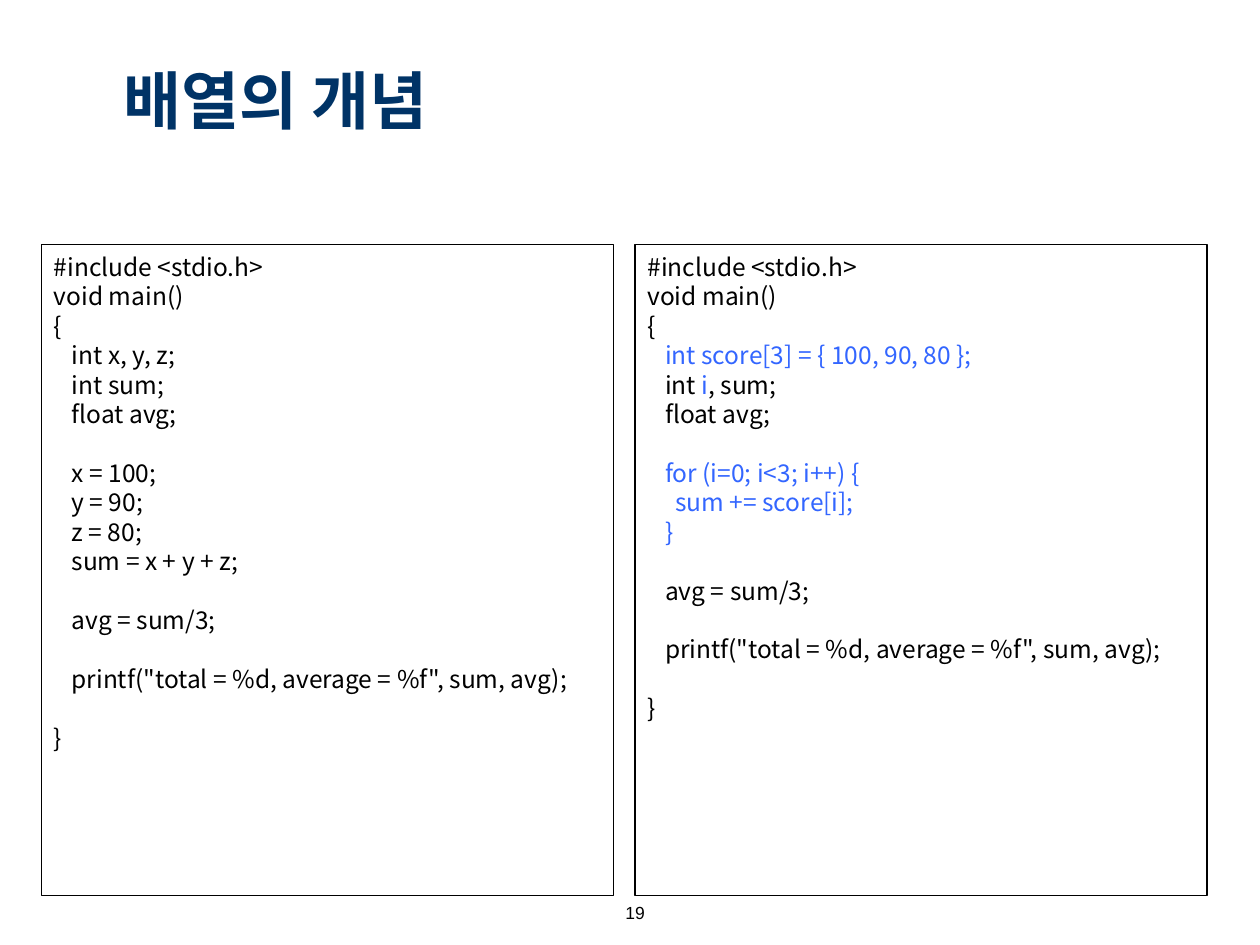
from dataclasses import dataclass

from lxml.etree import SubElement
from pptx import Presentation
from pptx.dml.color import RGBColor
from pptx.enum.shapes import MSO_SHAPE
from pptx.enum.text import MSO_ANCHOR, MSO_AUTO_SIZE, PP_ALIGN
from pptx.oxml.ns import qn
from pptx.util import Inches, Pt


@dataclass(frozen=True)
class Theme:
    text_font: str = "Noto Sans CJK KR"
    number_font: str = "Arial"
    title_size: float = 36
    code_size: float = 14
    number_size: float = 10
    line_pitch: float = 16.8
    title_color: RGBColor = RGBColor(0x00, 0x33, 0x66)
    ink: RGBColor = RGBColor(0, 0, 0)
    accent: RGBColor = RGBColor(0x33, 0x66, 0xFF)


THEME = Theme()
LEVEL_INDENTS = (0, 0.14, 0.22)


@dataclass(frozen=True)
class Line:
    level: int
    text: str
    accents: tuple = ()


def new_line(level, text):
    return Line(level, text)


def array_line(level, text):
    return Line(level, text, (text,))


HEADER = [new_line(0, "#include <stdio.h>"), new_line(0, "void main()"), new_line(0, "{")]
ENDING = [
    [new_line(1, "avg = sum/3;")],
    [new_line(1, 'printf("total = %d, average = %f", sum, avg);')],
    [new_line(0, "}")],
]
VARIABLES_CODE = [
    HEADER + [new_line(1, text) for text in ("int x, y, z;", "int sum;", "float avg;")],
    [new_line(1, text) for text in ("x = 100;", "y = 90;", "z = 80;", "sum = x + y + z;")],
    *ENDING,
]
ARRAY_CODE = [
    HEADER + [
        array_line(1, "int score[3] = { 100, 90, 80 };"),
        Line(1, "int |i|, sum;", ("i",)),
        new_line(1, "float avg;"),
    ],
    [
        array_line(1, "for (i=0; i<3; i++) {"),
        array_line(2, "sum += score[i];"),
        array_line(1, "}"),
    ],
    *ENDING,
]


def style(paragraph, font_name, size, color, bold=False):
    font = paragraph.font
    font.name = font_name
    font.size = Pt(size)
    font.bold = bold
    font.color.rgb = color
    defaults = paragraph._p.get_or_add_pPr().find(qn("a:defRPr"))
    SubElement(defaults, qn("a:ea")).set("typeface", font_name)


def add_title(slide, text):
    title = slide.shapes.title
    title.left, title.top = Inches(0.88), Inches(0.52)
    title.width, title.height = Inches(7.75), Inches(0.53)
    frame = title.text_frame
    frame.text = text
    frame.auto_size = MSO_AUTO_SIZE.NONE
    frame.vertical_anchor = MSO_ANCHOR.MIDDLE
    heading = frame.paragraphs[0]
    heading.alignment = PP_ALIGN.LEFT
    style(heading, THEME.text_font, THEME.title_size, THEME.title_color, True)


def write_line(paragraph, line, starts_group):
    color = THEME.accent if line.text in line.accents else THEME.ink
    paragraph.alignment = PP_ALIGN.LEFT
    paragraph.line_spacing = Pt(THEME.line_pitch)
    paragraph.space_before = Pt(THEME.line_pitch if starts_group else 0)
    paragraph._p.get_or_add_pPr().set("marL", str(Inches(LEVEL_INDENTS[line.level])))
    style(paragraph, THEME.text_font, THEME.code_size, color)
    for piece in line.text.split("|"):
        run = paragraph.add_run()
        run.text = piece
        if piece in line.accents and piece != line.text:
            run.font.color.rgb = THEME.accent


def add_code_panel(slide, left, groups):
    panel = slide.shapes.add_shape(
        MSO_SHAPE.RECTANGLE, Inches(left), Inches(1.94), Inches(4.54), Inches(5.17))
    panel.shadow.inherit = False
    panel.fill.background()
    panel.line.color.rgb = THEME.ink
    panel.line.width = Pt(0.75)
    frame = panel.text_frame
    frame.word_wrap = True
    frame.vertical_anchor = MSO_ANCHOR.TOP
    frame.margin_top = Inches(0.06)
    paragraph = frame.paragraphs[0]
    for group_index, group in enumerate(groups):
        for line_index, line in enumerate(group):
            if group_index or line_index:
                paragraph = frame.add_paragraph()
            write_line(paragraph, line, group_index > 0 and line_index == 0)


def add_page_number(slide, number):
    box = slide.shapes.add_textbox(Inches(4.58), Inches(7.11), Inches(0.92), Inches(0.29))
    frame = box.text_frame
    frame.word_wrap = True
    frame.text = number
    label = frame.paragraphs[0]
    label.alignment = PP_ALIGN.CENTER
    style(label, THEME.number_font, THEME.number_size, THEME.ink)


def main():
    presentation = Presentation()
    presentation.slide_width, presentation.slide_height = Inches(10), Inches(7.5)
    slide = presentation.slides.add_slide(presentation.slide_layouts[5])
    add_title(slide, "배열의 개념")
    for left, code in ((0.33, VARIABLES_CODE), (5.04, ARRAY_CODE)):
        add_code_panel(slide, left, code)
    add_page_number(slide, "19")
    presentation.save("out.pptx")


main()
